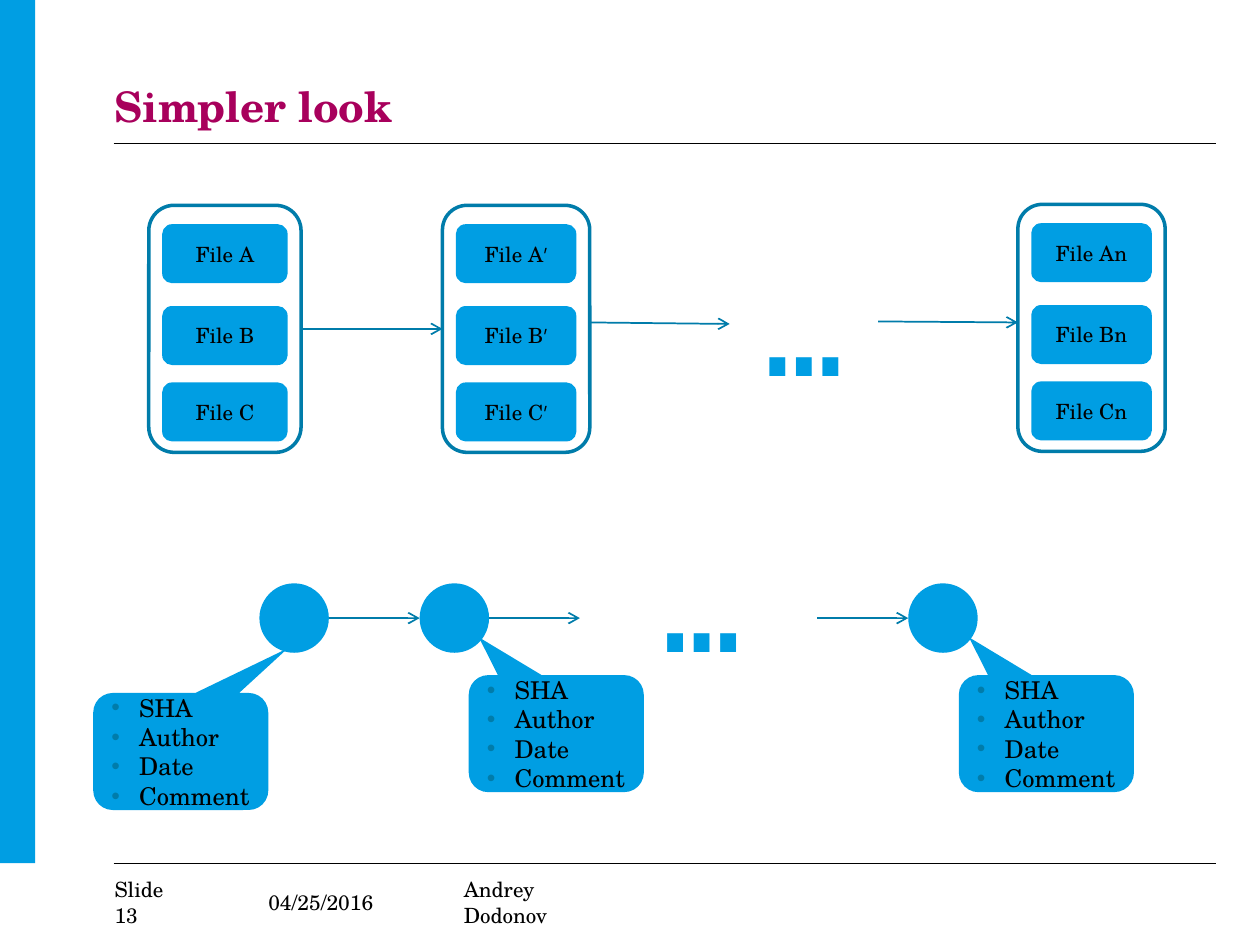
from typing import NamedTuple

from lxml import etree
from pptx import Presentation
from pptx import util as u
from pptx.dml import color
from pptx.enum import shapes, text
from pptx.oxml import ns

BLUE, TEAL, MAGENTA, BLACK = "009EE3", "007CAA", "A8005C", "000000"
SERIF = "TeX Gyre Schola"
FILE_HEIGHT = 1.19
FILE_OFFSETS = (0.38, 2.03, 3.57)
FRAME_MARGIN = 0.27
COMMIT_SIZE, COMMIT_TOP = 1.4, 11.76
COMMIT_FIELDS = ("SHA", "Author", "Date", "Comment")


class Snapshot(NamedTuple):
    left: float
    top: float
    width: float
    suffix: str


class Arrow(NamedTuple):
    x1: float
    y1: float
    x2: float
    y2: float


class Callout(NamedTuple):
    left: float
    top: float
    tip: tuple


class Label(NamedTuple):
    words: str
    box: tuple
    font: dict
    hex_color: str
    frame: dict


SNAPSHOTS = (
    Snapshot(3, 4.14, 3.07, ""),
    Snapshot(8.92, 4.14, 2.97, "′"),
    Snapshot(20.52, 4.12, 2.97, "n"),
)
FLOW_ARROWS = (
    Arrow(11.89, 6.5, 14.71, 6.53),
    Arrow(17.7, 6.48, 20.52, 6.5),
)
COMMIT_LEFTS = (5.23, 8.46, 18.31)
CALLOUTS = (
    Callout(9.45, 13.61, (-0.442, -0.823)),
    Callout(19.33, 13.61, (-0.442, -0.823)),
    Callout(1.88, 13.97, (0.611, -0.881)),
)
SMALL = dict(name=SERIF, size=u.Pt(12), bold=False)
FIELD = dict(name=SERIF, size=u.Pt(14), bold=False)
HEADING = dict(name=SERIF, size=u.Pt(24), bold=True)
DOTS = dict(name="Courier New", size=u.Pt(72), bold=True)
TIGHT = dict(margin_left=0, margin_right=0, margin_top=0, margin_bottom=0,
             word_wrap=False)
FOOTER = dict(TIGHT, vertical_anchor=text.MSO_ANCHOR.MIDDLE)
WRAPPED = dict(word_wrap=True, vertical_anchor=text.MSO_ANCHOR.TOP)
LABELS = (
    Label("Slide 13", (2.31, 17.93, 1.57, 0.51), SMALL, BLACK, FOOTER),
    Label("04/25/2016", (5.41, 17.93, 2.44, 0.51), SMALL, BLACK, FOOTER),
    Label("Andrey Dodonov", (9.35, 17.93, 3.2, 0.51), SMALL, BLACK, FOOTER),
    Label("…", (15.19, 4.93, 2.06, 3.33), DOTS, BLUE, WRAPPED),
    Label("…", (13.13, 10.49, 2.95, 4.8), DOTS, BLUE, WRAPPED),
)


def rgb(hex_color: str) -> color.RGBColor:
    return color.RGBColor.from_string(hex_color)


def cm(*lengths: float) -> list:
    return [u.Cm(length) for length in lengths]


def apply(target, values: dict) -> None:
    for name, value in values.items():
        setattr(target, name, value)


def write(paragraph, words: str, font: dict, hex_color: str) -> None:
    paragraph.text = words
    apply(paragraph.font, font)
    paragraph.font.color.rgb = rgb(hex_color)


def draw_shape(parent, kind, box: tuple, fill: str = "", outline: str = ""):
    shape = parent.add_shape(kind, *cm(*box))
    shape.shadow.inherit = False
    if fill:
        shape.fill.solid()
        shape.fill.fore_color.rgb = rgb(fill)
    else:
        shape.fill.background()
    if outline:
        shape.line.color.rgb = rgb(outline)
        shape.line.width = u.Pt(2)
    else:
        shape.line.fill.background()
    return shape


def draw_line(parent, ends: Arrow, hex_color: str, width: float,
              arrowhead: bool = False):
    line = parent.add_connector(shapes.MSO_CONNECTOR.STRAIGHT, *cm(*ends))
    line.line.color.rgb = rgb(hex_color)
    line.line.width = u.Pt(width)
    if arrowhead:
        etree.SubElement(line.line._get_or_add_ln(), ns.qn("a:tailEnd"), type="arrow")
    etree.SubElement(line._element.spPr, ns.qn("a:effectLst"))
    return line


def draw_label(parent, label: Label) -> None:
    frame = parent.add_textbox(*cm(*label.box)).text_frame
    apply(frame, label.frame)
    write(frame.paragraphs[0], label.words, label.font, label.hex_color)


def draw_snapshot(parent, snapshot: Snapshot):
    group = parent.add_group_shape().shapes
    rounded = shapes.MSO_SHAPE.ROUNDED_RECTANGLE
    frame = draw_shape(group, rounded,
                       (snapshot.left, snapshot.top, snapshot.width, 4.98), outline=TEAL)
    for letter, offset in zip("ABC", FILE_OFFSETS):
        box = (snapshot.left + FRAME_MARGIN, snapshot.top + offset,
               snapshot.width - 2 * FRAME_MARGIN, FILE_HEIGHT)
        file = draw_shape(group, rounded, box, fill=BLUE)
        file.text_frame.vertical_anchor = text.MSO_ANCHOR.MIDDLE
        paragraph = file.text_frame.paragraphs[0]
        paragraph.alignment = text.PP_ALIGN.CENTER
        write(paragraph, f"File {letter}{snapshot.suffix}", SMALL, BLACK)
    return frame


def add_bullet(paragraph) -> None:
    properties = paragraph._p.get_or_add_pPr()
    properties.set("marL", str(u.Cm(0.56)))
    properties.set("indent", str(u.Cm(-0.56)))
    bullet_color = etree.SubElement(properties, ns.qn("a:buClr"))
    etree.SubElement(bullet_color, ns.qn("a:srgbClr"), val=TEAL)
    etree.SubElement(properties, ns.qn("a:buFont"), typeface="Arial")
    etree.SubElement(properties, ns.qn("a:buChar"), char="•")


def draw_callout(parent, callout: Callout) -> None:
    shape = draw_shape(parent, shapes.MSO_SHAPE.ROUNDED_RECTANGULAR_CALLOUT,
                       (callout.left, callout.top, 3.53, 2.36), fill=BLUE)
    for index, value in enumerate((*callout.tip, 0.167)):
        shape.adjustments[index] = value
    frame = shape.text_frame
    apply(frame, dict(vertical_anchor=text.MSO_ANCHOR.MIDDLE, margin_right=u.Cm(0.1)))
    for index, field in enumerate(COMMIT_FIELDS):
        paragraph = frame.add_paragraph() if index else frame.paragraphs[0]
        paragraph.alignment = text.PP_ALIGN.LEFT
        add_bullet(paragraph)
        write(paragraph, field, FIELD, BLACK)


def draw_title(title) -> None:
    apply(title, dict(zip(("left", "top", "width", "height"),
                          cm(2.31, 1.73, 22.2, 0.99))))
    apply(title.text_frame, dict(TIGHT, vertical_anchor=text.MSO_ANCHOR.TOP,
                                 auto_size=text.MSO_AUTO_SIZE.NONE))
    paragraph = title.text_frame.paragraphs[0]
    apply(paragraph, dict(alignment=text.PP_ALIGN.LEFT, line_spacing=0.9))
    write(paragraph, "Simpler look", HEADING, MAGENTA)


def main() -> None:
    deck = Presentation()
    deck.slide_width, deck.slide_height = cm(25.4, 19.05)
    slide = deck.slides.add_slide(deck.slide_layouts[5])
    canvas = slide.shapes
    draw_title(canvas.title)

    draw_shape(canvas, shapes.MSO_SHAPE.RECTANGLE, (0, 0, 0.71, 17.4), fill=BLUE)
    for y in (2.9, 17.4):
        draw_line(canvas, Arrow(2.29, y, 24.51, y), BLACK, 0.5)

    first, second, _ = [draw_snapshot(canvas, snapshot) for snapshot in SNAPSHOTS]
    step = draw_line(canvas, Arrow(6.07, 6.63, 8.92, 6.63), TEAL, 1, True)
    step.begin_connect(first, 3)
    step.end_connect(second, 1)

    for left in COMMIT_LEFTS:
        draw_shape(canvas, shapes.MSO_SHAPE.OVAL,
                   (left, COMMIT_TOP, COMMIT_SIZE, COMMIT_SIZE), fill=BLUE)
    middle = COMMIT_TOP + COMMIT_SIZE / 2
    starts = [left + COMMIT_SIZE for left in COMMIT_LEFTS[:2]] + [COMMIT_LEFTS[2] - 1.83]
    commit_arrows = [Arrow(x, middle, x + 1.83, middle) for x in starts]
    for arrow in (*FLOW_ARROWS, *commit_arrows):
        draw_line(canvas, arrow, TEAL, 1, True)

    for callout in CALLOUTS:
        draw_callout(canvas, callout)
    for label in LABELS:
        draw_label(canvas, label)
    deck.save("out.pptx")


if __name__ == "__main__":
    main()
